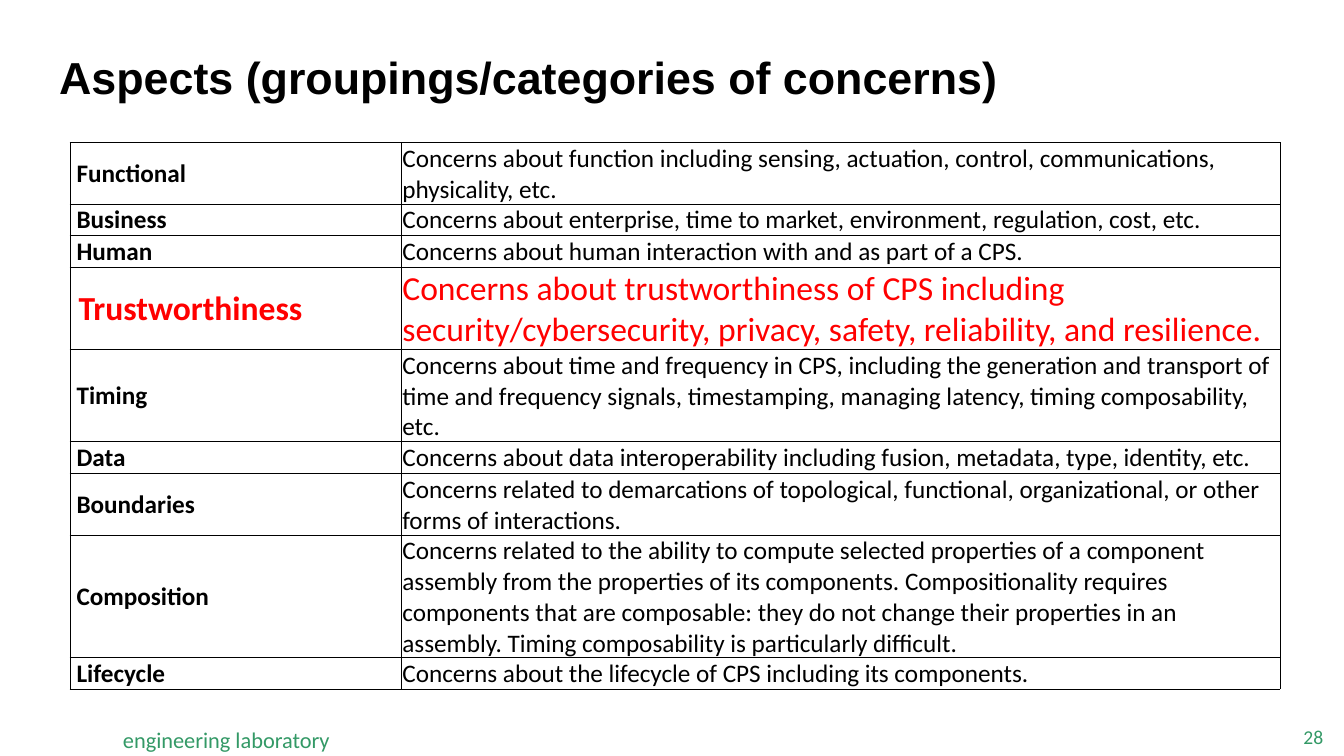
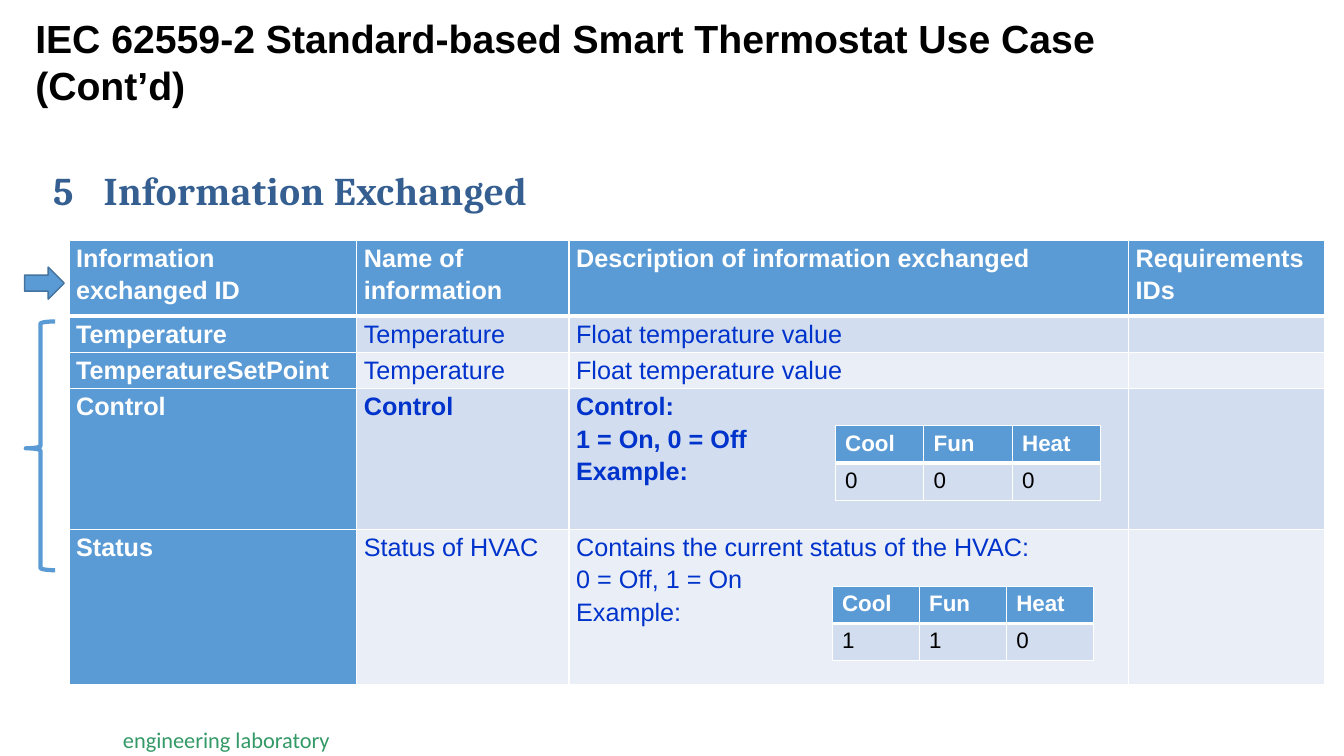
from collections import namedtuple

from lxml.etree import SubElement
from pptx import Presentation
from pptx.dml.color import RGBColor
from pptx.enum.shapes import MSO_SHAPE as Shape
from pptx.enum.text import MSO_ANCHOR as Anchor, PP_ALIGN as Align
from pptx.oxml.ns import qn
from pptx.util import Cm, Pt

COLORS = {
    "black": "000000",
    "white": "FFFFFF",
    "footer": "339966",
    "alert": "FF0000",
    "header": "5B9BD5",
    "outline": "43739E",
    "band_dark": "D2DEEF",
    "band_light": "EAEFF7",
    "entry": "0033CC",
    "heading": "365F91",
}
TITLE_FONT, BODY_FONT, HEADING_FONT = "Arial", "Calibri", "Cambria"

Box = namedtuple("Box", "left top width height")
Style = namedtuple("Style", "size face color bold", defaults=(False,))

ASPECTS = [
    ("Functional", "Concerns about function including sensing, actuation, control, "
     "communications, physicality, etc.", 1.55),
    ("Business", "Concerns about enterprise, time to market, environment, regulation, "
     "cost, etc.", 0.8),
    ("Human", "Concerns about human interaction with and as part of a CPS.", 0.8),
    ("Trustworthiness", "Concerns about trustworthiness of CPS including "
     "security/cybersecurity, privacy, safety, reliability, and resilience.", 2.07),
    ("Timing", "Concerns about time and frequency in CPS, including the generation and "
     "transport of time and frequency signals, timestamping, managing latency, timing "
     "composability, etc.", 2.32),
    ("Data", "Concerns about data interoperability including fusion, metadata, type, "
     "identity, etc.", 0.8),
    ("Boundaries", "Concerns related to demarcations of topological, functional, "
     "organizational, or other forms of interactions.", 1.55),
    ("Composition", "Concerns related to the ability to compute selected properties of a "
     "component assembly from the properties of its components. Compositionality requires "
     "components that are composable: they do not change their properties in an assembly. "
     "Timing composability is particularly difficult.", 3.08),
    ("Lifecycle", "Concerns about the lifecycle of CPS including its components.", 0.8),
]
EXCHANGE_HEADER = ("Information exchanged ID", "Name of information",
                   "Description of information exchanged", "Requirements IDs")
EXCHANGES = [
    ("Temperature", "Temperature", "Float temperature value", ""),
    ("TemperatureSetPoint", "Temperature", "Float temperature value", ""),
    ("Control", "Control", "Control:\n1 = On, 0 = Off\nExample:", ""),
    ("Status", "Status of HVAC",
     "Contains the current status of the HVAC:\n0 = Off, 1 = On\nExample:", ""),
]


def rgb(name):
    return RGBColor.from_string(COLORS[name])


def in_cm(box):
    return [Cm(length) for length in box]


def set_font(para, style):
    font = para.font
    font.size, font.name, font.bold = Pt(style.size), style.face, style.bold
    font.color.rgb = rgb(style.color)


def set_margins(target, left, top, right, bottom):
    target.margin_left, target.margin_top = Cm(left), Cm(top)
    target.margin_right, target.margin_bottom = Cm(right), Cm(bottom)


def add_text(page, box, text, style, align=Align.LEFT, anchor=Anchor.TOP,
             wrap=True, padded=True):
    """Adds a one-paragraph text box and returns the paragraph."""
    frame = page.shapes.add_textbox(*in_cm(box)).text_frame
    frame.word_wrap, frame.vertical_anchor = wrap, anchor
    if not padded:
        set_margins(frame, 0, 0, 0, 0)
    para = frame.paragraphs[0]
    para.text, para.alignment = text, align
    set_font(para, style)
    return para


def add_title(page, box, text, size, line_spacing=1.0):
    para = add_text(page, box, text, Style(size, TITLE_FONT, "black", True),
                    anchor=Anchor.MIDDLE)
    para.line_spacing = line_spacing


def add_footer(page, number=None):
    add_text(page, Box(3.1, 18.29, 5.28, 0.69), "engineering laboratory",
             Style(16, BODY_FONT, "footer"), wrap=False, padded=False)
    if number:
        add_text(page, Box(31.78, 18.24, 1.57, 0.66), number,
                 Style(14, BODY_FONT, "footer"), Align.RIGHT, Anchor.MIDDLE, padded=False)


def add_grid(page, box, widths, heights):
    """Adds a table without banding, with the given column widths and row heights."""
    table = page.shapes.add_table(len(heights), len(widths), *in_cm(box)).table
    table.first_row = table.horz_banding = False
    for column, width in zip(table.columns, widths):
        column.width = Cm(width)
    for row, height in zip(table.rows, heights):
        row.height = Cm(height)
    return table


def set_borders(cell, color, **widths):
    """Takes the line width in points for each of the sides L, R, T and B."""
    properties = cell._tc.get_or_add_tcPr()
    for side in "LRTB":
        line = SubElement(properties, qn(f"a:ln{side}"), w=str(Pt(widths[side])))
        fill = SubElement(line, qn("a:solidFill"))
        SubElement(fill, qn("a:srgbClr"), val=COLORS[color])


def fill_cell(cell, text, style, fill, margins, line_spacing=1.0):
    cell.text = text
    cell.fill.solid()
    cell.fill.fore_color.rgb = rgb(fill)
    set_margins(cell, *margins)
    for para in cell.text_frame.paragraphs:
        para.line_spacing = line_spacing
        set_font(para, style)


def set_header_borders(cell, row):
    """White borders, with a thick rule under the header row."""
    set_borders(cell, "white", L=1, R=1, T=3 if row == 1 else 1, B=3 if row == 0 else 1)


def add_aspect_table(page, box):
    table = add_grid(page, box, (8.36, box.width - 8.36), [row[2] for row in ASPECTS])
    for row, (aspect, concerns, _) in enumerate(ASPECTS):
        stressed = aspect == "Trustworthiness"
        size, color = (24, "alert") if stressed else (18, "black")
        indent = 0.22 if stressed else 0.17
        for column, (text, left) in enumerate(((aspect, indent), (concerns, 0.02))):
            cell = table.cell(row, column)
            set_borders(cell, "black", L=0.5, R=0.5, T=0.5, B=0.5)
            fill_cell(cell, text, Style(size, BODY_FONT, color, column == 0), "white",
                      (left, 0.02, 0.02, 0))
            cell.vertical_anchor = Anchor.MIDDLE


def add_exchange_table(page, box):
    table = add_grid(page, box, (7.25, 5.35, 14.1, 4.95), (1.92, 0.91, 0.91, 3.55, 3.92))
    for row, texts in enumerate([EXCHANGE_HEADER] + EXCHANGES):
        band = "band_dark" if row % 2 else "band_light"
        for column, text in enumerate(texts):
            heading = row == 0 or column == 0
            style = Style(18, TITLE_FONT, "white" if heading else "entry",
                          heading or texts[0] == "Control")
            cell = table.cell(row, column)
            set_header_borders(cell, row)
            fill_cell(cell, text, style, "header" if heading else band,
                      (0.18, 0, 0.18, 0), 1.15)


def add_example_table(page, box, values):
    table = add_grid(page, box, [box.width / 3] * 3, [box.height / 2] * 2)
    for row, texts in enumerate((("Cool", "Fun", "Heat"), values)):
        color, fill = ("black", "band_dark") if row else ("white", "header")
        for column, text in enumerate(texts):
            cell = table.cell(row, column)
            set_header_borders(cell, row)
            fill_cell(cell, text, Style(16, TITLE_FONT, color, row == 0), fill,
                      (0.25, 0.13, 0.25, 0.13))


def add_section_heading(page, box, text):
    para = add_text(page, box, "", Style(28, HEADING_FONT, "heading", True), wrap=False)
    properties = para._p.get_or_add_pPr()
    tabs = SubElement(properties, qn("a:tabLst"))
    SubElement(tabs, qn("a:tab"), pos=str(Cm(1.27)), algn="l")
    properties.insert(0, tabs)
    span = para.add_run()
    span.text = text
    span._r.get_or_add_rPr().set("spc", "40")


def add_marker(page, kind, box, line_color, line_width, fill=None):
    marker = page.shapes.add_shape(kind, *in_cm(box))
    marker.shadow.inherit = False
    marker.line.color.rgb = rgb(line_color)
    marker.line.width = Pt(line_width)
    if fill:
        marker.fill.solid()
        marker.fill.fore_color.rgb = rgb(fill)
    else:
        marker.fill.background()
    return marker


def add_row_markers(page, box):
    """Points at the header row and embraces the rows below it."""
    add_marker(page, Shape.RIGHT_ARROW, Box(box.left, box.top, box.width, 0.81),
               "outline", 1, "header")
    brace = add_marker(page, Shape.LEFT_BRACE,
                       Box(box.left + 0.03, box.top + 1.37, 0.74, box.height - 1.37),
                       "header", 3)
    brace.adjustments[0], brace.adjustments[1] = 0.08, 0.51


def build_aspects(page):
    add_footer(page, "28")
    add_title(page, Box(1.24, 1.02, 30.28, 1.98),
              "Aspects (groupings/categories of concerns)", 32, 0.9)
    add_aspect_table(page, Box(1.76, 3.59, 30.5, 13.77))


def build_exchanges(page):
    add_footer(page)
    add_exchange_table(page, Box(1.74, 6.05, 31.65, 11.21))
    add_section_heading(page, Box(1.09, 4.06, 12.8, 1.45), "5\tInformation Exchanged")
    add_title(page, Box(0.64, 0.25, 30.76, 2.59),
              "IEC 62559-2 Standard-based Smart Thermostat Use Case (Cont’d)", 28)
    add_example_table(page, Box(21.05, 10.73, 6.69, 1.88), "000")
    add_example_table(page, Box(20.97, 14.77, 6.59, 1.88), "110")
    add_row_markers(page, Box(0.62, 6.73, 1.0, 7.64))


def main():
    deck = Presentation()
    deck.slide_width, deck.slide_height = Cm(33.87), Cm(19.05)
    for build in (build_aspects, build_exchanges):
        build(deck.slides.add_slide(deck.slide_layouts[6]))
    deck.save("out.pptx")


if __name__ == "__main__":
    main()
